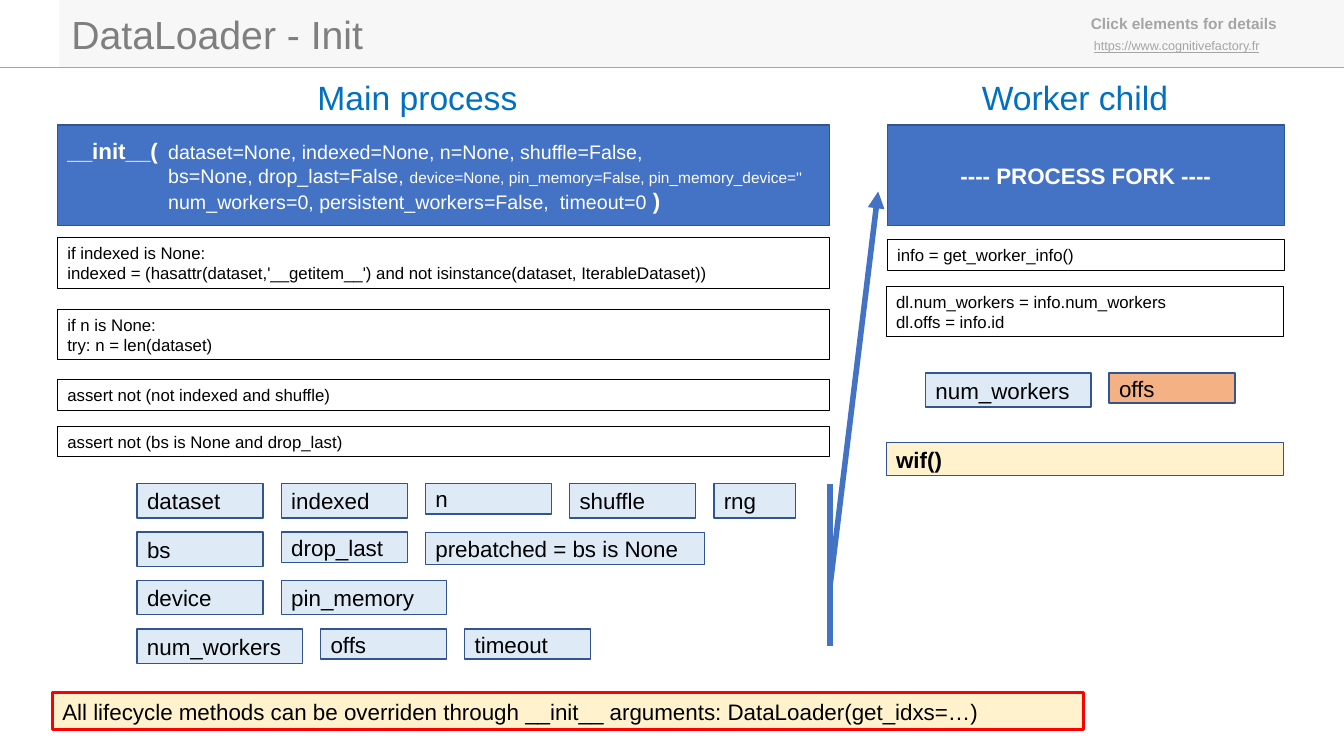
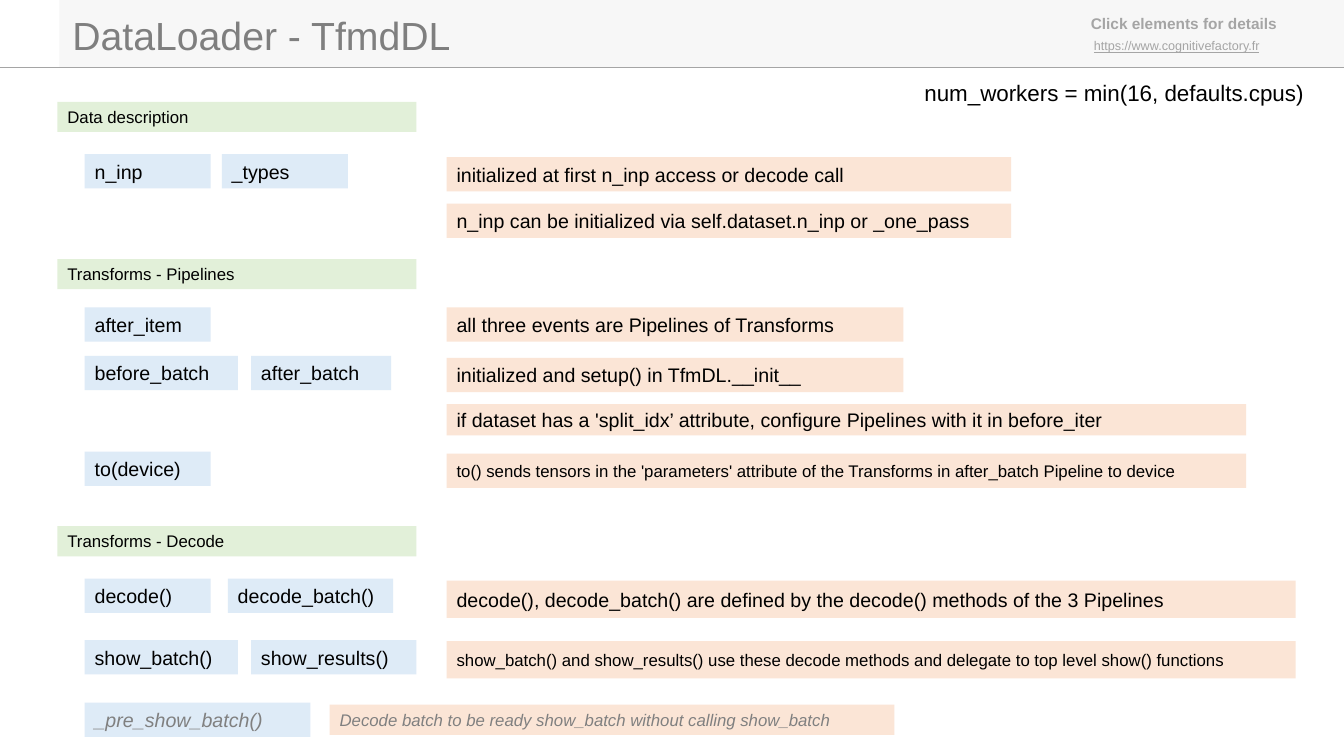
from dataclasses import dataclass, field
from typing import Any, NamedTuple

import lxml.etree
import pptx
import pptx.dml.color
import pptx.enum.shapes
import pptx.enum.text
import pptx.oxml.ns
import pptx.util

SCALE = 9144
WIDE, HIGH = 1333, 750
FACE = "Arial"
GAP = 18

HUES = {
    "black": "000000",
    "white": "FFFFFF",
    "title": "7F7F7F",
    "muted": "808080",
    "grey": "A5A5A5",
    "band": "F7F7F7",
    "head": "0070C0",
    "blue": "4472C4",
    "navy": "325491",
    "sky": "DEEBF7",
    "cream": "FFF2CC",
    "peach": "FBE5D6",
    "orange": "F4B183",
    "green": "E2F0D9",
    "red": "FF0000",
}


@dataclass(frozen=True)
class Look:
    size: int
    ink: str = "black"
    fill: str | None = None
    edge: str | None = None
    thick: float = 1
    form: dict[str, Any] = field(default_factory=dict)
    align: str = "LEFT"
    tab: int | None = None


class Run(NamedTuple):
    text: str
    size: int | None = None
    bold: bool = False


class Box(NamedTuple):
    x: int
    y: int
    w: int
    h: int
    look: str
    text: str | list[list[Run]] = ""


class Tag(NamedTuple):
    text: str
    w: int = 125
    h: int = 34
    look: str = "tag"


class Row(NamedTuple):
    x: int
    y: int
    tags: list[Tag]
    gap: int = GAP


class Link(NamedTuple):
    x1: int
    y1: int
    x2: int
    y2: int
    hue: str
    thick: float
    arrow: bool = False


BOLD = {"bold": True}
SLANT = {"italic": True}
LOOKS = {
    "band": Look(12, fill="band"),
    "hint": Look(11, "grey", form=BOLD),
    "site": Look(9, "grey", form={"underline": True}),
    "title": Look(28, "title"),
    "head": Look(24, "head"),
    "plain": Look(16),
    "code": Look(12, edge="black", thick=0.75),
    "call": Look(14, "white", "blue", "navy", tab=100),
    "fork": Look(16, "white", "blue", "navy", form=BOLD, align="CENTER"),
    "tag": Look(16, fill="sky", edge="navy"),
    "warm": Look(16, fill="orange", edge="navy"),
    "hook": Look(16, fill="cream", edge="navy", form=BOLD),
    "alert": Look(16, fill="cream", edge="red", thick=2.25),
    "group": Look(12, fill="green"),
    "name": Look(14, fill="sky"),
    "note": Look(14, fill="peach"),
    "small": Look(12, fill="peach"),
    "dim": Look(14, "muted", "sky", form=SLANT),
    "faint": Look(12, "muted", "peach", form=SLANT),
}


def px(num: int) -> int:
    return pptx.util.Emu(num * SCALE)


def shade(hue: str) -> pptx.dml.color.RGBColor:
    return pptx.dml.color.RGBColor.from_string(HUES[hue])


def style(item: Any, form: dict[str, Any]) -> None:
    for key, value in form.items():
        setattr(item, key, value)


def child(node: Any, tag: str, **attrs: str) -> Any:
    return lxml.etree.SubElement(node, pptx.oxml.ns.qn(tag), attrs)


def write(frame: Any, text: str | list[list[Run]], look: Look) -> None:
    style(frame, {
        "word_wrap": True,
        "vertical_anchor": pptx.enum.text.MSO_ANCHOR.MIDDLE,
    })
    lines = [[Run(part)] for part in text.split("\n")] if isinstance(text, str) else text
    for spot, line in enumerate(lines):
        para = frame.paragraphs[0] if spot == 0 else frame.add_paragraph()
        para.alignment = getattr(pptx.enum.text.PP_ALIGN, look.align)
        if look.tab:
            tabs = child(para._p.get_or_add_pPr(), "a:tabLst")
            child(tabs, "a:tab", pos=str(px(look.tab)), algn="l")
        for part in line:
            run = para.add_run()
            run.text = part.text
            style(run.font, {
                "name": FACE,
                "size": pptx.util.Pt(part.size or look.size),
                "bold": part.bold,
                **look.form,
            })
            run.font.color.rgb = shade(look.ink)


def draw(slide: Any, box: Box) -> None:
    look = LOOKS[box.look]
    place = [px(num) for num in box[:4]]
    if look.fill or look.edge:
        shape = slide.shapes.add_shape(pptx.enum.shapes.MSO_SHAPE.RECTANGLE, *place)
        shape.shadow.inherit = False
        if look.fill:
            shape.fill.solid()
            shape.fill.fore_color.rgb = shade(look.fill)
        else:
            shape.fill.background()
        if look.edge:
            shape.line.color.rgb = shade(look.edge)
            shape.line.width = pptx.util.Pt(look.thick)
        else:
            shape.line.fill.background()
    else:
        shape = slide.shapes.add_textbox(*place)
    if box.text:
        write(shape.text_frame, box.text, look)


def lay(slide: Any, row: Row) -> None:
    x = row.x
    for tag in row.tags:
        draw(slide, Box(x, row.y, tag.w, tag.h, tag.look, tag.text))
        x += tag.w + row.gap


def join(slide: Any, link: Link) -> None:
    wire = slide.shapes.add_connector(
        pptx.enum.shapes.MSO_CONNECTOR.STRAIGHT, *[px(num) for num in link[:4]])
    wire.line.color.rgb = shade(link.hue)
    wire.line.width = pptx.util.Pt(link.thick)
    props = wire.element.spPr
    if link.arrow:
        child(props.find(pptx.oxml.ns.qn("a:ln")), "a:tailEnd", type="triangle")
    child(props, "a:effectLst")


def fill(slide: Any, items: list[Box | Row | Link]) -> None:
    tools = {Box: draw, Row: lay, Link: join}
    for item in items:
        tools[type(item)](slide, item)


def share(slide: Any, items: list[Box | Row | Link]) -> None:
    layout = slide.slide_layout
    for holder in list(layout.placeholders):
        holder.element.getparent().remove(holder.element)
    fill(slide, items)
    for shape in list(slide.shapes):
        layout.shapes.element.append(shape.element)


FRAME = [
    Box(59, 0, 1274, 67, "band"),
    Link(0, 67, WIDE, 67, "grey", 0.5),
    Box(1072, 9, 212, 29, "hint", "Click elements for details"),
    Box(1075, 33, 209, 25, "site", "https://www.cognitivefactory.fr"),
]

CALL = [
    [Run("__init__(", 16, True),
     Run("\tdataset=None, indexed=None, n=None, shuffle=False,")],
    [Run("\tbs=None, drop_last=False, "),
     Run("device=None, pin_memory=False, pin_memory_device=''", 11)],
    [Run("\tnum_workers=0, persistent_workers=False,  timeout=0 "),
     Run(")", 16, True)],
]

TAGS = [
    [Tag("dataset"), Tag("indexed"), Tag("n", h=30), Tag("shuffle"), Tag("rng", 81)],
    [Tag("bs"), Tag("drop_last", h=30), Tag("prebatched = bs is None", 277, 32)],
    [Tag("device"), Tag("pin_memory", 164)],
    [Tag("num_workers", 164), Tag("offs", h=30), Tag("timeout", h=30)],
]

INIT = [
    Box(61, 5, 400, 57, "title", "DataLoader - Init"),
    Box(305, 71, 231, 50, "head", "Main process"),
    Box(964, 71, 217, 50, "head", "Worker child"),
    Box(57, 124, 766, 100, "call", CALL),
    Box(880, 124, 394, 100, "fork", "---- PROCESS FORK ----"),
    Box(57, 236, 766, 50, "code",
        "if indexed is None:\nindexed = (hasattr(dataset,'__getitem__') "
        "and not isinstance(dataset, IterableDataset))"),
    Box(57, 307, 766, 50, "code", "if n is None:\ntry: n = len(dataset)"),
    Box(57, 377, 766, 30, "code", "assert not (not indexed and shuffle)"),
    Box(57, 423, 766, 30, "code", "assert not (bs is None and drop_last)"),
    *[Row(136, 480 + 48 * spot, tags) for spot, tags in enumerate(TAGS)],
    Link(823, 583, 871, 190, "blue", 4, True),
    Link(823, 480, 823, 641, "blue", 4),
    Box(880, 238, 394, 30, "code", "info = get_worker_info()"),
    Box(879, 284, 394, 50, "code",
        "dl.num_workers = info.num_workers\ndl.offs = info.id"),
    Row(918, 370, [Tag("num_workers", 164), Tag("offs", h=30, look="warm")]),
    Box(879, 439, 394, 33, "hook", "wif()"),
    Box(52, 687, 1023, 37, "alert",
        "All lifecycle methods can be overriden through __init__ arguments: "
        "DataLoader(get_idxs=…)"),
]


def names(y: int, gap: int, *pairs: tuple[str, int]) -> Row:
    return Row(84, y, [Tag(text, w, look="name") for text, w in pairs], gap)


GROUPS = {101: "Data description", 257: "Transforms - Pipelines", 522: "Transforms - Decode"}

TFMD = [
    Box(62, 6, 400, 57, "title", "DataLoader - TfmdDL"),
    Box(907, 73, 426, 37, "plain", "num_workers = min(16, defaults.cpus)"),
    *[Box(57, y, 356, 30, "group", text) for y, text in GROUPS.items()],
    names(153, 11, ("n_inp", 125), ("_types", 125)),
    names(305, 0, ("after_item", 125)),
    names(353, 13, ("before_batch", 152), ("after_batch", 139)),
    names(448, 0, ("to(device)", 125)),
    names(574, 17, ("decode()", 125), ("decode_batch()", 164)),
    names(635, 13, ("show_batch()", 152), ("show_results()", 164)),
    Box(443, 156, 560, 34, "note", "initialized at first n_inp access or decode call"),
    Box(443, 202, 560, 34, "note",
        "n_inp can be initialized via self.dataset.n_inp or _one_pass"),
    Box(443, 305, 453, 34, "note", "all three events are Pipelines of Transforms"),
    Box(443, 355, 453, 34, "note", "initialized and setup() in TfmDL.__init__"),
    Box(443, 401, 793, 31, "note",
        "if dataset has a 'split_idx’ attribute, configure Pipelines with it in before_iter"),
    Box(443, 450, 793, 34, "small",
        "to() sends tensors in the 'parameters' attribute of the Transforms "
        "in after_batch Pipeline to device"),
    Box(443, 576, 842, 37, "note",
        "decode(), decode_batch() are defined by the decode() methods of the 3 Pipelines"),
    Box(443, 636, 842, 37, "small",
        "show_batch() and show_results() use these decode methods "
        "and delegate to top level show() functions"),
    Box(84, 697, 224, 34, "dim", "_pre_show_batch()"),
    Box(327, 699, 560, 30, "faint",
        "Decode batch to be ready show_batch without calling show_batch"),
]


def main() -> None:
    deck = pptx.Presentation()
    style(deck, {"slide_width": px(WIDE), "slide_height": px(HIGH)})
    blank = deck.slide_layouts[6]
    slides = [deck.slides.add_slide(blank) for _ in range(2)]
    share(slides[0], FRAME)
    for slide, items in zip(slides, (INIT, TFMD)):
        fill(slide, items)
    deck.save("out.pptx")


if __name__ == "__main__":
    main()
